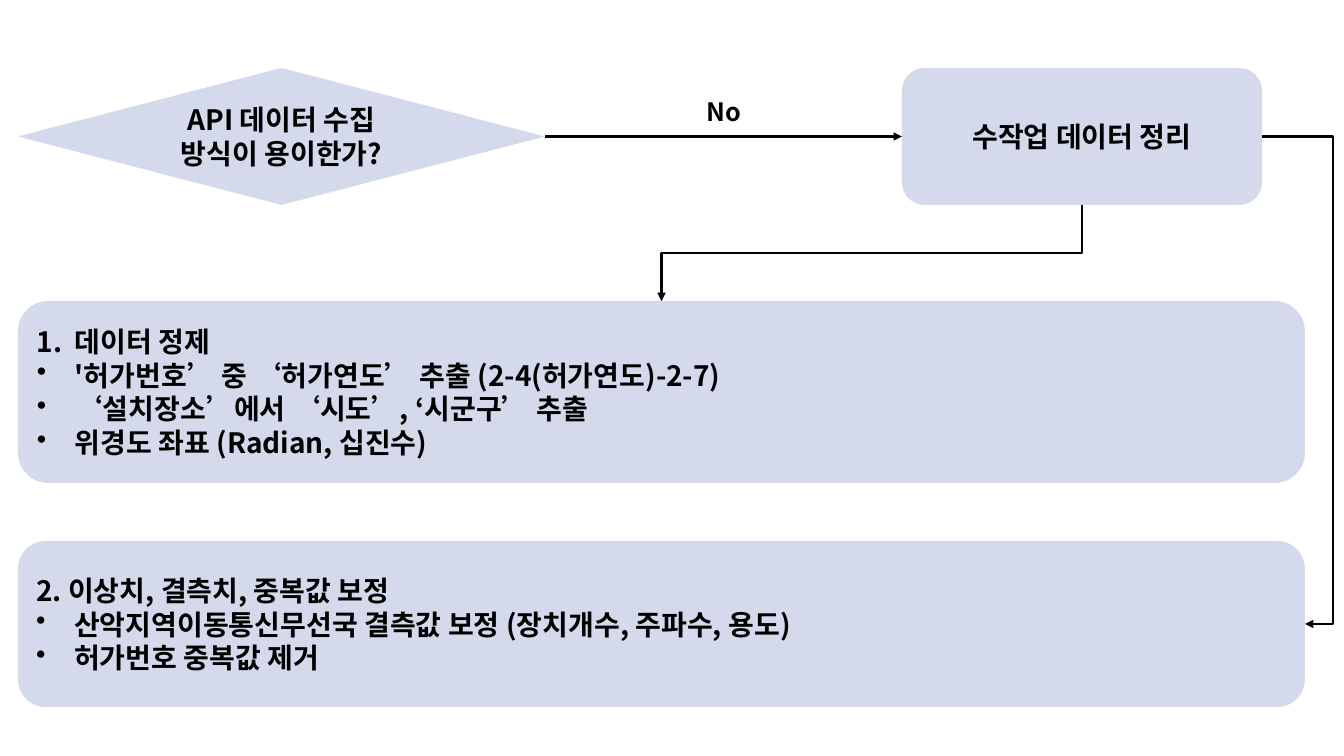
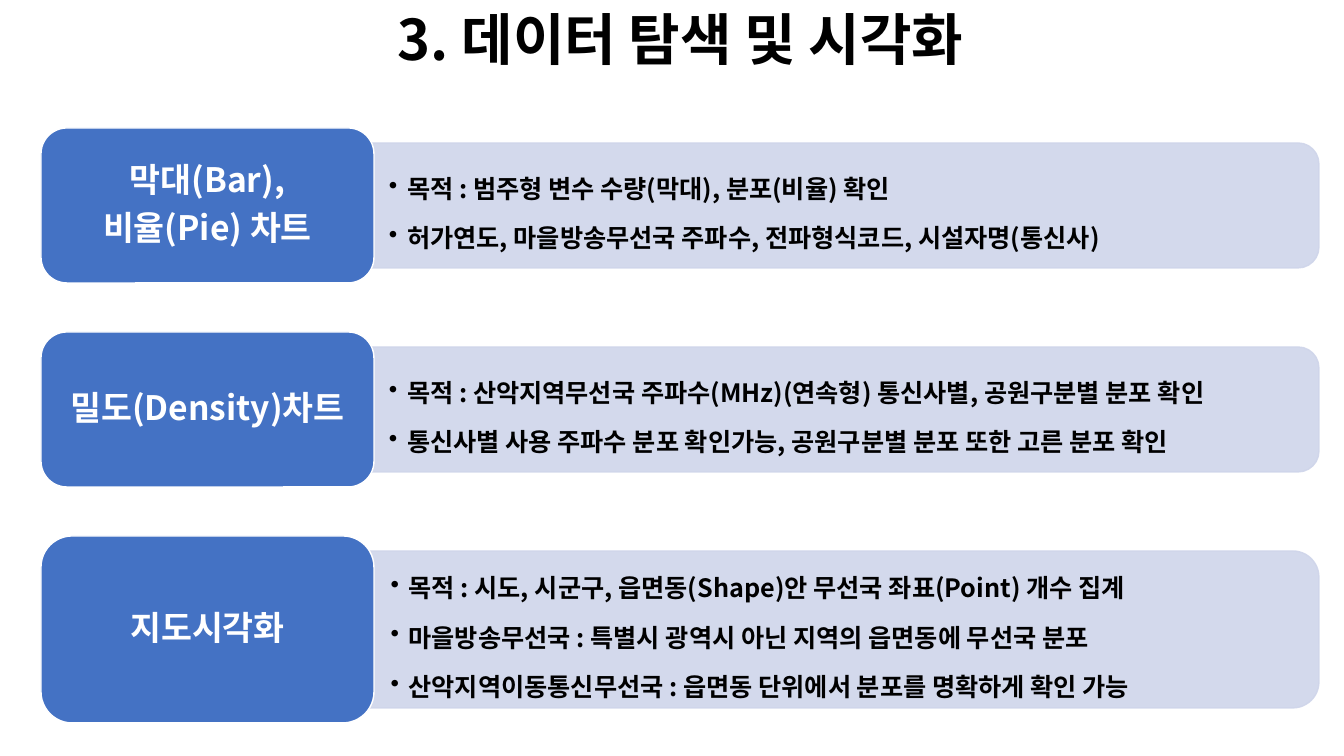
from dataclasses import dataclass

from lxml import etree
from pptx import Presentation
from pptx.dml.color import RGBColor
from pptx.enum.shapes import MSO_CONNECTOR, MSO_SHAPE
from pptx.enum.text import MSO_ANCHOR, PP_ALIGN
from pptx.oxml.ns import qn
from pptx.util import Emu, Pt

SCALE = 914400 / 100.8
WIDE, HIGH = 1344, 756
FONT = "Noto Sans CJK KR"
BLACK, WHITE, BLUE, PALE, BAND = "000000", "FFFFFF", "4472C4", "D4D9EC", "CFD5EA"
ROUND, CHOICE = MSO_SHAPE.ROUNDED_RECTANGLE, MSO_SHAPE.FLOWCHART_DECISION
LEFT, CENTER = PP_ALIGN.LEFT, PP_ALIGN.CENTER
MIDDLE, TOP = MSO_ANCHOR.MIDDLE, MSO_ANCHOR.TOP
STRAIGHT, ELBOW = MSO_CONNECTOR.STRAIGHT, MSO_CONNECTOR.ELBOW
DOT, NUMBER = "•", "1."
SIDE_TOP, SIDE_LEFT, SIDE_BOTTOM, SIDE_RIGHT = range(4)


@dataclass(frozen=True)
class Style:
    size: int
    color: str = BLACK
    align: PP_ALIGN = CENTER
    anchor: MSO_ANCHOR = MIDDLE
    space: float = 1.0
    after: float = 0
    indent: int = 38
    hang: int = 38
    pad: tuple[int, int] = (10, 5)


@dataclass(frozen=True)
class Line:
    text: str
    mark: str = ""


@dataclass(frozen=True)
class Box:
    x: int
    y: int
    w: int
    h: int


@dataclass(frozen=True)
class Topic:
    name: tuple[str, ...]
    notes: tuple[str, ...]
    high: int


HEAD = Style(40, anchor=TOP)
LABEL = Style(18, anchor=TOP)
STEP = Style(20)
LIST = Style(20, align=LEFT)
NAME = Style(24, WHITE, space=0.9, after=8.4, pad=(7, 3))
NOTE = Style(18, align=LEFT, space=1.5, after=2.7, indent=68, hang=18, pad=(0, 0))

CLEAN = (
    Line("데이터 정제", NUMBER),
    Line("'허가번호’ 중 ‘허가연도’ 추출 (2-4(허가연도)-2-7)", DOT),
    Line("‘설치장소’에서 ‘시도’, ‘시군구’ 추출", DOT),
    Line("위경도 좌표 (Radian, 십진수)", DOT),
)
REPAIR = (
    Line("2. 이상치, 결측치, 중복값 보정"),
    Line("산악지역이동통신무선국 결측값 보정 (장치개수, 주파수, 용도)", DOT),
    Line("허가번호 중복값 제거", DOT),
)
TOPICS = (
    Topic(
        ("막대(Bar),", "비율(Pie) 차트"),
        (
            "목적 : 범주형 변수 수량(막대), 분포(비율) 확인",
            "허가연도, 마을방송무선국 주파수, 전파형식코드, 시설자명(통신사)",
        ),
        155,
    ),
    Topic(
        ("밀도(Density)차트",),
        (
            "목적 : 산악지역무선국 주파수(MHz)(연속형) 통신사별, 공원구분별 분포 확인",
            "통신사별 사용 주파수 분포 확인가능, 공원구분별 분포 또한 고른 분포 확인",
        ),
        155,
    ),
    Topic(
        ("지도시각화",),
        (
            "목적 : 시도, 시군구, 읍면동(Shape)안 무선국 좌표(Point) 개수 집계",
            "마을방송무선국 : 특별시 광역시 아닌 지역의 읍면동에 무선국 분포",
            "산악지역이동통신무선국 : 읍면동 단위에서 분포를 명확하게 확인 가능",
        ),
        187,
    ),
)


def px(count: float) -> Emu:
    return Emu(round(count * SCALE))


def rgb(code: str) -> RGBColor:
    return RGBColor.from_string(code)


def frame(box: Box) -> tuple[Emu, Emu, Emu, Emu]:
    return px(box.x), px(box.y), px(box.w), px(box.h)


def add_mark(para, mark: str, style: Style) -> None:
    """Give a paragraph a hanging bullet or number."""
    props = para._p.get_or_add_pPr()
    props.set("marL", str(px(style.indent)))
    props.set("indent", str(-px(style.hang)))
    if mark == NUMBER:
        bullet = etree.Element(qn("a:buAutoNum"), type="arabicPeriod")
    else:
        bullet = etree.Element(qn("a:buChar"), char=mark)
    props.find(qn("a:defRPr")).addprevious(bullet)


def write(shape, lines: tuple[Line, ...], style: Style) -> None:
    body = shape.text_frame
    body.word_wrap = True
    body.vertical_anchor = style.anchor
    body.margin_left = body.margin_right = px(style.pad[0])
    body.margin_top = body.margin_bottom = px(style.pad[1])
    for i, line in enumerate(lines):
        para = body.add_paragraph() if i else body.paragraphs[0]
        para.text = line.text
        para.alignment = style.align
        para.line_spacing = style.space
        para.space_after = Pt(style.after)
        font = para.font
        font.name, font.size, font.bold = FONT, Pt(style.size), True
        font.color.rgb = rgb(style.color)
        base = para._p.pPr.find(qn("a:defRPr"))
        etree.SubElement(base, qn("a:ea"), typeface=FONT)
        if line.mark:
            add_mark(para, line.mark, style)


def add_text(slide, box: Box, text: str, style: Style) -> None:
    write(slide.shapes.add_textbox(*frame(box)), (Line(text),), style)


def add_box(slide, kind: MSO_SHAPE, box: Box, fill: str,
            lines: tuple[Line, ...], style: Style, edge: str = ""):
    shape = slide.shapes.add_shape(kind, *frame(box))
    shape.shadow.inherit = False
    shape.fill.solid()
    shape.fill.fore_color.rgb = rgb(fill)
    if edge:
        shape.line.color.rgb = rgb(edge)
        shape.line.width = Pt(1)
    else:
        shape.line.fill.background()
    write(shape, lines, style)
    return shape


def fade(shape, share: int) -> None:
    """Set the opacity of fill and outline, in percent."""
    for color in shape._element.spPr.iter(qn("a:srgbClr")):
        etree.SubElement(color, qn("a:alpha"), val=str(share * 1000))


def add_arrow(slide, kind: MSO_CONNECTOR, start, out: int, end, into: int):
    arrow = slide.shapes.add_connector(kind, 0, 0, 0, 0)
    arrow.begin_connect(start, out)
    arrow.end_connect(end, into)
    arrow.line.color.rgb = rgb(BLACK)
    arrow.line.width = Pt(1.5)
    props = arrow._element.spPr
    etree.SubElement(props.find(qn("a:ln")), qn("a:tailEnd"), type="triangle")
    etree.SubElement(props, qn("a:effectLst"))
    return arrow


def bend(arrow, ratio: float) -> None:
    """Place the middle leg of an elbow, as a share of its width."""
    geom = arrow._element.spPr.find(qn("a:prstGeom"))
    guides = geom.find(qn("a:avLst"))
    if guides is None:
        guides = etree.SubElement(geom, qn("a:avLst"))
    etree.SubElement(guides, qn("a:gd"), name="adj1", fmla=f"val {round(ratio * 100000)}")


def turn(arrow) -> None:
    """Make an elbow that runs down and left leave and arrive vertically."""
    left, top, wide, high = arrow.left, arrow.top, arrow.width, arrow.height
    arrow.left = left + (wide - high) // 2
    arrow.top = top + (high - wide) // 2
    arrow.width, arrow.height = high, wide
    form = arrow._element.spPr.find(qn("a:xfrm"))
    form.attrib.pop("flipH", None)
    form.set("rot", "5400000")


def draw_flow(slide) -> None:
    ask = add_box(slide, CHOICE, Box(18, 68, 527, 137), PALE,
                  (Line("API 데이터 수집 방식이 용이한가?"),), STEP)
    repair = add_box(slide, ROUND, Box(18, 541, 1287, 166), PALE, REPAIR, LIST)
    clean = add_box(slide, ROUND, Box(18, 301, 1287, 182), PALE, CLEAN, LIST)
    manual = add_box(slide, ROUND, Box(902, 68, 360, 137), PALE,
                     (Line("수작업 데이터 정리"),), STEP)
    bend(add_arrow(slide, ELBOW, manual, SIDE_RIGHT, repair, SIDE_RIGHT), 1.65)
    down = add_arrow(slide, ELBOW, manual, SIDE_BOTTOM, clean, SIDE_TOP)
    turn(down)
    bend(down, 0.5)
    add_arrow(slide, STRAIGHT, ask, SIDE_RIGHT, manual, SIDE_LEFT)
    add_text(slide, Box(691, 91, 66, 44), "No", LABEL)


def draw_topics(slide) -> None:
    add_text(slide, Box(158, 0, 1045, 78), "3. 데이터 탐색 및 시각화", HEAD)
    inset, gap, top = 15, 49, 128
    for topic in TOPICS:
        band = Box(333, top + inset, 986, topic.high - 2 * inset)
        notes = tuple(Line(text, DOT) for text in topic.notes)
        fade(add_box(slide, ROUND, band, BAND, notes, NOTE, BAND), 90)
        names = tuple(Line(text) for text in topic.name)
        add_box(slide, ROUND, Box(41, top, 333, topic.high), BLUE, names, NAME, WHITE)
        top += topic.high + gap


def main() -> None:
    deck = Presentation()
    deck.slide_width, deck.slide_height = px(WIDE), px(HIGH)
    for draw in (draw_flow, draw_topics):
        draw(deck.slides.add_slide(deck.slide_layouts[6]))
    deck.save("out.pptx")


if __name__ == "__main__":
    main()
